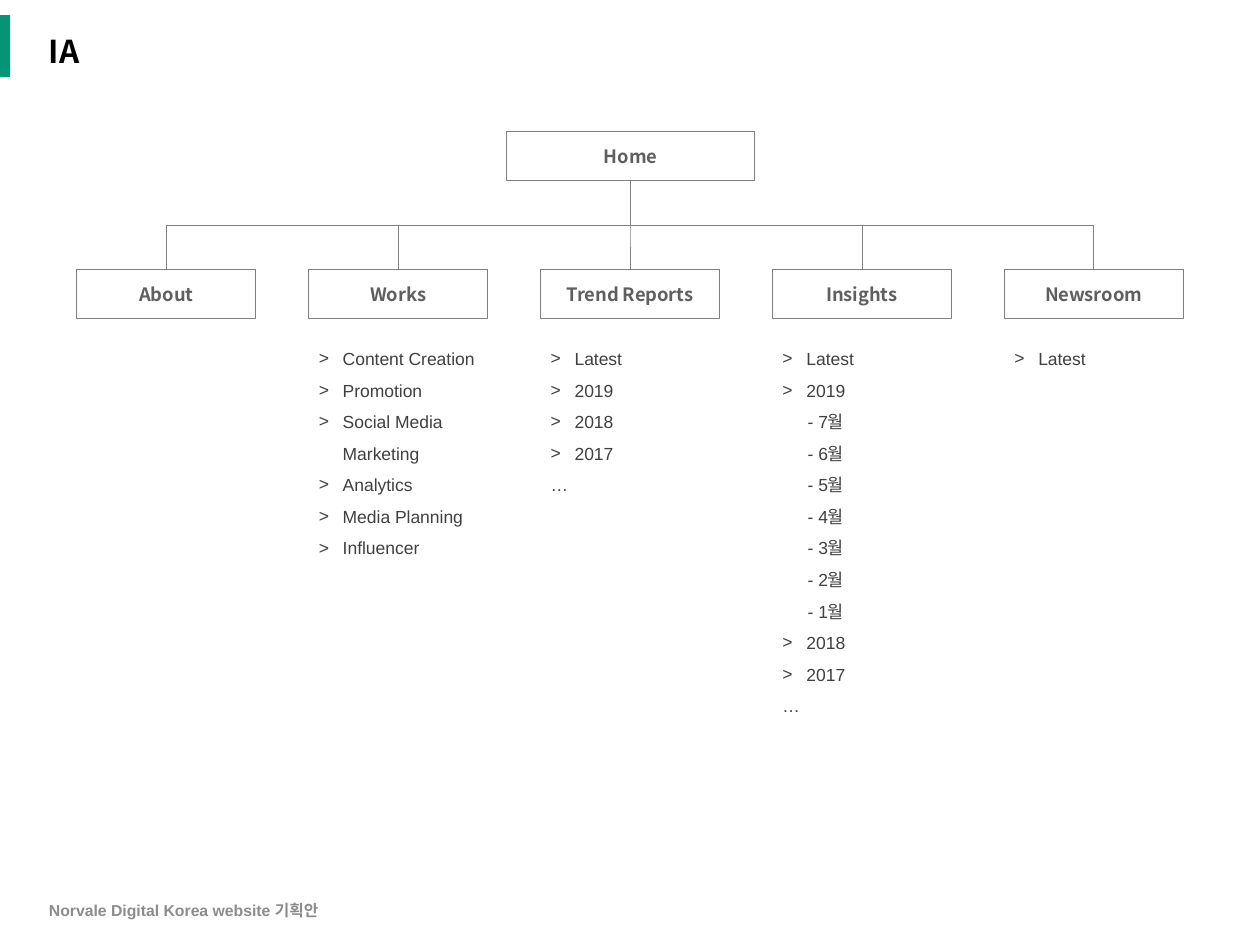
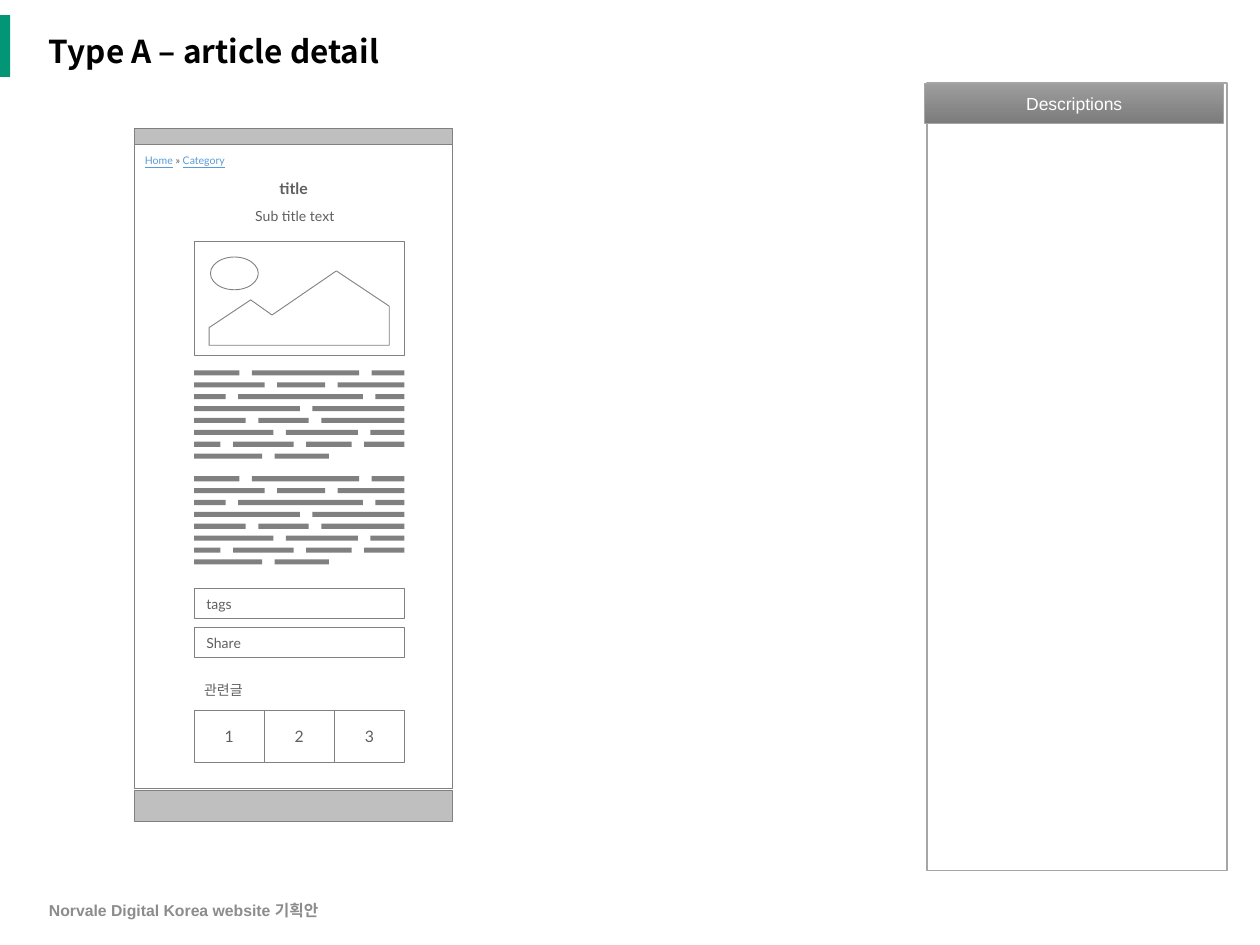
from lxml import etree
from pptx import Presentation
from pptx.dml.color import RGBColor
from pptx.enum.shapes import MSO_CONNECTOR as Connector, MSO_SHAPE as Preset
from pptx.enum.text import MSO_ANCHOR as Anchor, PP_ALIGN as Align
from pptx.oxml.ns import qn
from pptx.util import Inches, Pt

GREEN = RGBColor(0x02, 0x96, 0x76)
BLACK = RGBColor(0x00, 0x00, 0x00)
WHITE = RGBColor(0xFF, 0xFF, 0xFF)
LINE_GRAY = RGBColor(0x80, 0x80, 0x80)
LABEL_GRAY = RGBColor(0x5F, 0x5F, 0x5F)
LIST_GRAY = RGBColor(0x40, 0x40, 0x40)
FOOTER_GRAY = RGBColor(0x8C, 0x8C, 0x8C)
BAR_GRAY = RGBColor(0xBF, 0xBF, 0xBF)
PANEL_GRAY = RGBColor(0xA6, 0xA6, 0xA6)
GRADIENT_TOP = RGBColor(0x9D, 0x9D, 0x9D)
GRADIENT_BOTTOM = RGBColor(0x7C, 0x7C, 0x7C)
LINK_BLUE = RGBColor(0x5B, 0x9B, 0xD5)

HEADING_FONT = "Noto Sans CJK KR"
BODY_FONT = "Arial"
WIREFRAME_FONT = "Lato"
TIGHT_INSETS = (0.08, 0.04, 0.08, 0.04)


def add_box(slide, place, fill=WHITE, line=LINE_GRAY, line_width=0.5, preset=Preset.RECTANGLE):
    shape = slide.shapes.add_shape(preset, *map(Inches, place))
    shape.shadow.inherit = False
    if fill is None:
        shape.fill.background()
    else:
        shape.fill.solid()
        shape.fill.fore_color.rgb = fill
    if line is None:
        shape.line.fill.background()
    else:
        shape.line.color.rgb = line
        shape.line.width = Pt(line_width)
    return shape


def write_text(shape, lines, font, size, color, bold=False, align=Align.LEFT,
               anchor=Anchor.MIDDLE, insets=(0.1, 0.05, 0.1, 0.05), spacing=1.0):
    frame = shape.text_frame
    frame.word_wrap = True
    frame.vertical_anchor = anchor
    frame.margin_left, frame.margin_top, frame.margin_right, frame.margin_bottom = map(Inches, insets)
    for index, line in enumerate(lines):
        paragraph = frame.paragraphs[0] if index == 0 else frame.add_paragraph()
        paragraph.alignment = align
        paragraph.line_spacing = spacing
        for text, run_color, underline in [(line, color, False)] if isinstance(line, str) else line:
            run = paragraph.add_run()
            run.text = text
            run.font.name = font
            run.font.size = Pt(size)
            run.font.bold = bold
            run.font.underline = underline
            run.font.color.rgb = run_color
            east_asian = etree.SubElement(run.font._element, qn("a:ea"))
            east_asian.set("typeface", HEADING_FONT)
    return frame


presentation = Presentation()
presentation.slide_width = Inches(10)
presentation.slide_height = Inches(7.5)

slides = []
for title in ("IA", "Type A – article detail"):
    slide = presentation.slides.add_slide(presentation.slide_layouts[6])
    add_box(slide, (0, 0.12, 0.08, 0.49), GREEN, None)
    title_box = slide.shapes.add_textbox(*map(Inches, (0.29, 0.18, 9.45, 0.49)))
    write_text(title_box, [title], HEADING_FONT, 18, BLACK, bold=True, spacing=0.9)
    footer = slide.shapes.add_textbox(*map(Inches, (0.29, 7.1, 3.38, 0.25)))
    write_text(footer, ["Norvale Digital Korea website 기획안"], BODY_FONT, 9, FOOTER_GRAY, bold=True)
    slides.append(slide)
sitemap, article = slides

MENU = {
    "About": [],
    "Works": ["> Content Creation", "> Promotion", "> Social Media Marketing",
              "> Analytics", "> Media Planning", "> Influencer"],
    "Trend Reports": ["> Latest", "> 2019", "> 2018", "> 2017", "…"],
    "Insights": ["> Latest", "> 2019", *[f"- {month}월" for month in range(7, 0, -1)],
                 "> 2018", "> 2017", "…"],
    "Newsroom": ["> Latest"],
}
HOME_X, HOME_BOTTOM, MENU_TOP = 5, 1.43, 2.14
DROP = MENU_TOP - HOME_BOTTOM
MENU_WIDTH = 1.42

home = add_box(sitemap, (4.02, 1.04, 1.97, 0.39))
write_text(home, ["Home"], HEADING_FONT, 10.5, LABEL_GRAY, bold=True, align=Align.CENTER)

for column, (name, entries) in enumerate(MENU.items()):
    left = 0.61 + 1.84 * column
    menu_box = add_box(sitemap, (left, MENU_TOP, MENU_WIDTH, 0.39))
    write_text(menu_box, [name], HEADING_FONT, 10.5, LABEL_GRAY, bold=True, align=Align.CENTER)

    center = left + MENU_WIDTH / 2
    span = abs(center - HOME_X)
    branch = sitemap.shapes.add_connector(Connector.ELBOW, 0, 0, Inches(DROP), Inches(span))
    branch.begin_connect(home, 2)
    branch.end_connect(menu_box, 0)
    transform = branch._element.spPr.find(qn("a:xfrm"))
    transform.attrib.clear()
    branch.left = Inches((center + HOME_X - DROP) / 2)
    branch.top = Inches((HOME_BOTTOM + MENU_TOP - span) / 2)
    branch.width, branch.height = Inches(DROP), Inches(span)
    if center > HOME_X + 0.1:
        transform.set("rot", "16200000")
        transform.set("flipH", "1")
    else:
        transform.set("rot", "5400000")
    branch.line.color.rgb = LINE_GRAY
    branch.line.width = Pt(0.25)
    etree.SubElement(branch._element.spPr, qn("a:effectLst"))

    if not entries:
        continue
    list_box = sitemap.shapes.add_textbox(
        *map(Inches, (left, 2.64, MENU_WIDTH, 0.04 + 0.25 * len(entries))))
    frame = write_text(list_box, [entry.removeprefix("> ") for entry in entries], BODY_FONT, 10,
                       LIST_GRAY, anchor=Anchor.TOP, insets=TIGHT_INSETS, spacing=1.5)
    for entry, paragraph in zip(entries, frame.paragraphs):
        properties = paragraph._p.get_or_add_pPr()
        if entry.startswith(">"):
            properties.set("marL", str(Inches(0.19)))
            properties.set("indent", str(Inches(-0.19)))
            etree.SubElement(properties, qn("a:buFont")).set("typeface", BODY_FONT)
            etree.SubElement(properties, qn("a:buChar")).set("char", ">")
        elif entry.startswith("-"):
            paragraph.level = 1
            properties.set("marL", str(Inches(0.5)))
            properties.set("indent", str(Inches(-0.3)))

add_box(article, (7.36, 0.66, 2.38, 6.25), line=PANEL_GRAY, line_width=1)
panel_header = add_box(article, (7.34, 0.66, 2.37, 0.32), line=PANEL_GRAY)
panel_header.fill.gradient()
panel_header.fill.gradient_angle = 270
for stop, color in zip(panel_header.fill.gradient_stops, (GRADIENT_TOP, GRADIENT_BOTTOM)):
    stop.color.rgb = color
write_text(panel_header, ["Descriptions"], BODY_FONT, 10, WHITE, align=Align.CENTER,
           insets=(0.04, 0.04, 0.04, 0.04))

PAGE_LEFT, PAGE_WIDTH = 1.07, 2.52
CONTENT_LEFT, CONTENT_WIDTH = 1.54, 1.67
add_box(article, (PAGE_LEFT, 1.15, PAGE_WIDTH, 5.11), fill=None)
for top, height in ((1.02, 0.13), (6.27, 0.25)):
    add_box(article, (PAGE_LEFT, top, PAGE_WIDTH, height), BAR_GRAY)

breadcrumb = [("Home", LINK_BLUE, True), (" » ", LABEL_GRAY, False), ("Category", LINK_BLUE, True)]
for place, line, size, bold, align in (
    ((PAGE_LEFT, 1.37, PAGE_WIDTH, 0.25), "title", 9, True, Align.CENTER),
    ((PAGE_LEFT, 1.18, 0.85, 0.17), breadcrumb, 6, False, Align.LEFT),
    ((1.13, 1.61, 2.42, 0.22), "Sub title text", 8, False, Align.CENTER),
    ((CONTENT_LEFT, 5.37, CONTENT_WIDTH, 0.22), "관련글", 8, False, Align.LEFT),
):
    text_box = article.shapes.add_textbox(*map(Inches, place))
    frame = write_text(text_box, [line], WIREFRAME_FONT, size, LABEL_GRAY, bold, align,
                       Anchor.TOP, TIGHT_INSETS if not bold else (0.1, 0.05, 0.1, 0.05))
    frame.word_wrap = line is not breadcrumb

add_box(article, (CONTENT_LEFT, 1.92, CONTENT_WIDTH, 0.9))
add_box(article, (1.67, 2.04, 0.38, 0.26), preset=Preset.OVAL)
RIDGE = [(1.66, 2.6), (1.99, 2.38), (2.16, 2.5), (2.67, 2.15), (3.09, 2.43), (3.09, 2.74), (1.66, 2.74)]
points = [(Inches(x), Inches(y)) for x, y in RIDGE]
builder = article.shapes.build_freeform(*points[0], scale=1.0)
builder.add_line_segments(points[1:], close=True)
mountains = builder.convert_to_shape()
mountains.shadow.inherit = False
mountains.fill.solid()
mountains.fill.fore_color.rgb = WHITE
mountains.line.color.rgb = LINE_GRAY
mountains.line.width = Pt(0.5)

WORD_WIDTHS = [
    (0.36, 0.85, 0.26),
    (0.56, 0.38, 0.53),
    (0.25, 0.99, 0.23),
    (0.84, 0.73),
    (0.41, 0.4, 0.66),
    (0.63, 0.57, 0.27),
    (0.21, 0.48, 0.36, 0.32),
    (0.54, 0.43),
]
WORD_GAP, WORD_HEIGHT = 0.1, 0.04
for block_top in (2.94, 3.78):
    for row, widths in enumerate(WORD_WIDTHS):
        top = block_top + 0.66 * row / 7
        left = CONTENT_LEFT
        builder = article.shapes.build_freeform(Inches(left), Inches(top), scale=1.0)
        for index, width in enumerate(widths):
            corners = [(left, top), (left, top + WORD_HEIGHT),
                       (left + width, top + WORD_HEIGHT), (left + width, top)]
            points = [(Inches(x), Inches(y)) for x, y in corners]
            if index:
                builder.move_to(*points[0])
            builder.add_line_segments(points[1:], close=True)
            left += width + WORD_GAP
        words = builder.convert_to_shape()
        words.shadow.inherit = False
        words.fill.solid()
        words.fill.fore_color.rgb = LINE_GRAY
        words.line.fill.background()

for label, top in (("tags", 4.67), ("Share", 4.98)):
    field = add_box(article, (CONTENT_LEFT, top, CONTENT_WIDTH, 0.24))
    write_text(field, [label], WIREFRAME_FONT, 8, LABEL_GRAY)

cell_width = CONTENT_WIDTH / 3
for index in range(3):
    cell = add_box(article, (CONTENT_LEFT + cell_width * index, 5.64, cell_width, 0.41))
    write_text(cell, [str(index + 1)], WIREFRAME_FONT, 9, LABEL_GRAY, align=Align.CENTER)

presentation.save("out.pptx")
